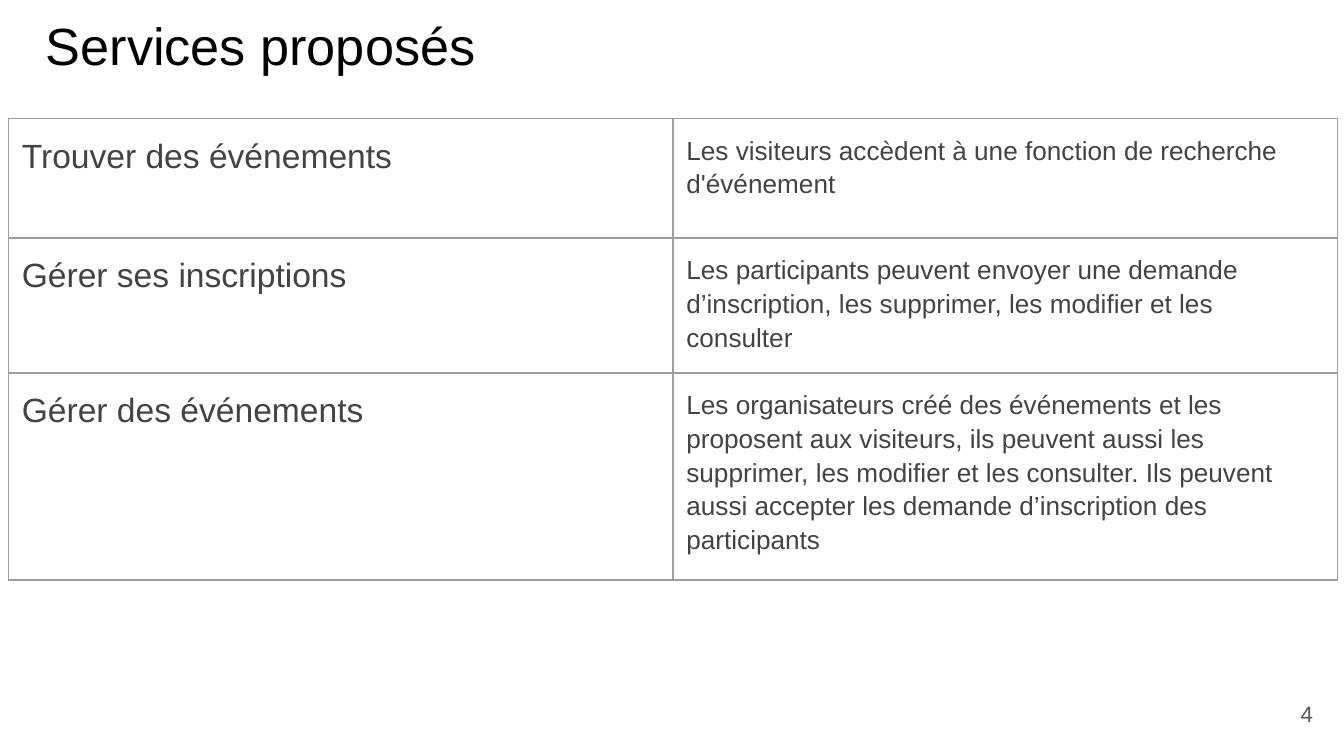
from dataclasses import dataclass

from lxml import etree
from pptx import Presentation
from pptx.dml.color import RGBColor
from pptx.enum import text
from pptx.oxml import ns
from pptx.util import Pt


@dataclass(frozen=True)
class Theme:
    font: str = "Arial"
    title_color: str = "000000"
    body_color: str = "434343"
    number_color: str = "595959"
    border_color: str = "9E9E9E"
    border_width: float = 0.75
    title_size: int = 28
    service_size: int = 18
    detail_size: int = 14
    number_size: int = 12
    inset: float = 7.2
    line_spacing: float = 1.15


THEME = Theme()

SERVICES = [
    ("Trouver des événements",
     "Les visiteurs accèdent à une fonction de recherche d'événement"),
    ("Gérer ses inscriptions",
     "Les participants peuvent envoyer une demande d’inscription, les supprimer, "
     "les modifier et les consulter"),
    ("Gérer des événements",
     "Les organisateurs créé des événements et les proposent aux visiteurs, "
     "ils peuvent aussi les supprimer, les modifier et les consulter. "
     "Ils peuvent aussi accepter les demande d’inscription des participants"),
]
ROW_HEIGHTS = [64, 53.5, 73.5]


def set_margins(area):
    """Give a text frame or a table cell the same inset on all sides."""
    area.margin_left = area.margin_right = Pt(THEME.inset)
    area.margin_top = area.margin_bottom = Pt(THEME.inset)


def write(frame, words, size, color):
    """Fill a text frame with one formatted paragraph and return it."""
    frame.text = words
    para = frame.paragraphs[0]
    for span in para.runs:
        span.font.name = THEME.font
        span.font.size = Pt(size)
        span.font.color.rgb = RGBColor.from_string(color)
    return para


def add_text(page, bounds, words, size, color, anchor):
    box = page.shapes.add_textbox(*map(Pt, bounds))
    frame = box.text_frame
    frame.word_wrap = True
    frame.vertical_anchor = anchor
    set_margins(frame)
    return write(frame, words, size, color)


def add_title(page, bounds):
    add_text(page, bounds, "Services proposés", THEME.title_size,
             THEME.title_color, text.MSO_ANCHOR.TOP)


def add_page_number(page, bounds):
    para = add_text(page, bounds, "4", THEME.number_size,
                    THEME.number_color, text.MSO_ANCHOR.MIDDLE)
    para.alignment = text.PP_ALIGN.RIGHT


def add_borders(cell):
    properties = cell._tc.get_or_add_tcPr()
    for side in ("lnL", "lnR", "lnT", "lnB"):
        line = etree.SubElement(properties, ns.qn(f"a:{side}"),
                                w=str(Pt(THEME.border_width)))
        fill = etree.SubElement(line, ns.qn("a:solidFill"))
        etree.SubElement(fill, ns.qn("a:srgbClr"), val=THEME.border_color)


def add_services_table(page, bounds):
    left, top, width, height = bounds
    frame = page.shapes.add_table(len(SERVICES), 2, Pt(left), Pt(top),
                                  Pt(width), Pt(height))
    table = frame.table
    table.first_row = table.horz_banding = False
    for column in table.columns:
        column.width = Pt(width / 2)
    sizes = (THEME.service_size, THEME.detail_size)
    for row, row_height, service in zip(table.rows, ROW_HEIGHTS, SERVICES):
        row.height = Pt(row_height)
        for cell, words, size in zip(row.cells, service, sizes):
            set_margins(cell)
            add_borders(cell)
            cell.fill.background()
            para = write(cell.text_frame, words, size, THEME.body_color)
            para.line_spacing = THEME.line_spacing


def main():
    deck = Presentation()
    deck.slide_width, deck.slide_height = Pt(720), Pt(405)
    page = deck.slides.add_slide(deck.slide_layouts[6])
    add_title(page, (17.5, 0, 671, 45))
    add_services_table(page, (4.5, 63.5, 712, sum(ROW_HEIGHTS)))
    add_page_number(page, (667.5, 367, 43, 31))
    deck.save("out.pptx")


if __name__ == "__main__":
    main()
